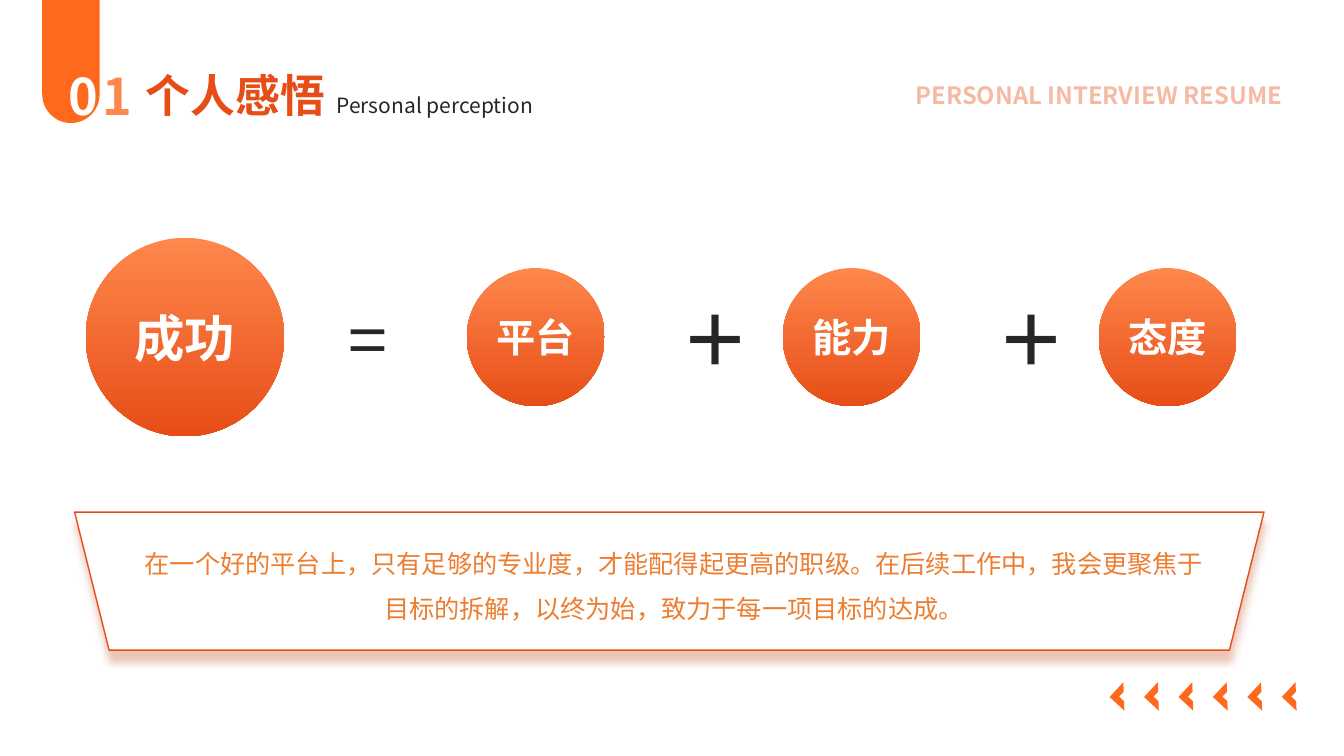
from lxml import etree
from pptx import Presentation
from pptx.dml.color import RGBColor
from pptx.enum.shapes import MSO_SHAPE as Shape
from pptx.enum.text import MSO_ANCHOR as Anchor, MSO_AUTO_SIZE as AutoSize, PP_ALIGN as Align
from pptx.oxml import parse_xml
from pptx.oxml.ns import qn
from pptx.util import Pt

FONT = "Noto Sans CJK SC"
NAMESPACE = "http://schemas.openxmlformats.org/drawingml/2006/main"
COLORS = {
    "orange": "FE691E",
    "light": "FE874C",
    "deep": "E74E17",
    "body": "ED7D31",
    "dark": "262626",
    "white": "FFFFFF",
    "shadow": "BD4013",
}

presentation = Presentation()
presentation.slide_width, presentation.slide_height = Pt(960), Pt(540)
slide = presentation.slides.add_slide(presentation.slide_layouts[6])


def add_preset(kind, left, top, width, height, fill=None):
    """Add a preset shape without line or shadow, filled with a named colour or unfilled."""
    shape = slide.shapes.add_shape(kind, Pt(left), Pt(top), Pt(width), Pt(height))
    shape.shadow.inherit = False
    shape.line.fill.background()
    if fill:
        shape.fill.solid()
        shape.fill.fore_color.rgb = RGBColor.from_string(COLORS[fill])
    else:
        shape.fill.background()
    return shape


def write(shape, runs, size, bold=False, align=Align.LEFT, wrap=True):
    """Put (text, colour) runs in one paragraph of the shape and return the paragraph."""
    shape.text_frame.word_wrap = wrap
    paragraph = shape.text_frame.paragraphs[0]
    paragraph.alignment = align
    for text, color in runs:
        run = paragraph.add_run()
        run.text = text
        run.font.size, run.font.bold, run.font.name = Pt(size), bold, FONT
        run.font.color.rgb = RGBColor.from_string(COLORS[color])
        etree.SubElement(run.font._element, qn("a:ea"), typeface=FONT)
    return paragraph


# Corner tab and chevrons
tab = add_preset(Shape.ROUND_2_SAME_RECTANGLE, 30.2, -0.7, 41, 88.6, "orange")
tab.adjustments[0], tab.adjustments[1] = 0, 0.5

for index in range(6):
    chevron = add_preset(Shape.HALF_FRAME, 795.6 + 24.6 * index, 490.3, 14.4, 14.4, "orange")
    chevron.rotation = 223
    chevron._element.spPr.find(qn("a:xfrm")).set("flipH", "1")

# Statement panel
panel = add_preset(Shape.TRAPEZOID, 53.3, 365.8, 849.6, 98.6, "white")
panel.line.color.rgb = RGBColor.from_string(COLORS["deep"])
panel.line.width = Pt(1)
panel._element.spPr.find(qn("a:xfrm")).set("flipV", "1")
panel._element.spPr.find(qn("a:effectLst")).append(parse_xml(
    f'<a:outerShdw xmlns:a="{NAMESPACE}" blurRad="{Pt(5)}" dist="{Pt(7)}" dir="5400000" '
    f'algn="t" rotWithShape="0"><a:srgbClr val="{COLORS["shadow"]}">'
    '<a:alpha val="30000"/></a:srgbClr></a:outerShdw>'
))

# Section number
number = add_preset(Shape.ROUNDED_RECTANGLE, 26.6, 41, 90, 54.7)
number.adjustments[0] = 0
number.text_frame.vertical_anchor = Anchor.MIDDLE
digits = write(number, [("0", "white"), ("1", "light")], 36, True, Align.CENTER)
for run in digits.runs:
    run.font._element.set("spc", "300")

# Circles: the result, then its three factors
circles = [("成功", 61.2, 169.9, 141.8, 36)]
for index, factor in enumerate(["平台", "能力", "态度"]):
    circles.append((factor, 333.4 + 225.7 * index, 191.5, 98.6, 28))

for label, left, top, diameter, size in circles:
    circle = add_preset(Shape.OVAL, left, top, diameter, diameter)
    circle.fill.gradient()
    circle.fill.gradient_angle = 270
    for stop, color in zip(circle.fill.gradient_stops, ["light", "deep"]):
        stop.color.rgb = RGBColor.from_string(COLORS[color])
    frame = circle.text_frame
    frame.margin_left = frame.margin_right = frame.margin_top = frame.margin_bottom = 0
    frame.vertical_anchor = Anchor.MIDDLE
    write(circle, [(label, "white")], size, True, Align.CENTER)

# Text boxes: text, left, top, width, height, size, colour, bold, alignment, wrap
statement = "在一个好的平台上，只有足够的专业度，才能配得起更高的职级。在后续工作中，我会更聚焦于目标的拆解，以终为始，致力于每一项目标的达成。"
banner = "PERSONAL INTERVIEW RESUME"
text_boxes = [
    (banner, 588.2, 54, 334.8, 28.1, 17, "deep", True, Align.RIGHT, True),
    ("个人感悟", 90, 44.6, 156.2, 46.1, 32, "deep", True, Align.CENTER, True),
    ("Personal perception", 233.3, 62.6, 159.1, 25.2, 15, "dark", False, Align.LEFT, False),
    ("=", 241.9, 208.1, 52.6, 67.7, 50, "dark", False, Align.LEFT, False),
    ("＋", 478.8, 208.1, 31.7, 67.7, 50, "dark", True, Align.CENTER, True),
    ("＋", 704.9, 208.1, 31.7, 67.7, 50, "dark", True, Align.CENTER, True),
    (statement, 92.9, 377.3, 776.9, 69.1, 18, "body", False, Align.CENTER, True),
]
for text, left, top, width, height, size, color, bold, align, wrap in text_boxes:
    box = slide.shapes.add_textbox(Pt(left), Pt(top), Pt(width), Pt(height))
    box.text_frame.auto_size = AutoSize.SHAPE_TO_FIT_TEXT
    paragraph = write(box, [(text, color)], size, bold, align, wrap)
    if text == statement:
        paragraph.line_spacing = 1.5
    if text == banner:
        banner_color = paragraph.runs[0].font._element.find(".//" + qn("a:srgbClr"))
        etree.SubElement(banner_color, qn("a:alpha"), val="39000")

presentation.save("out.pptx")
